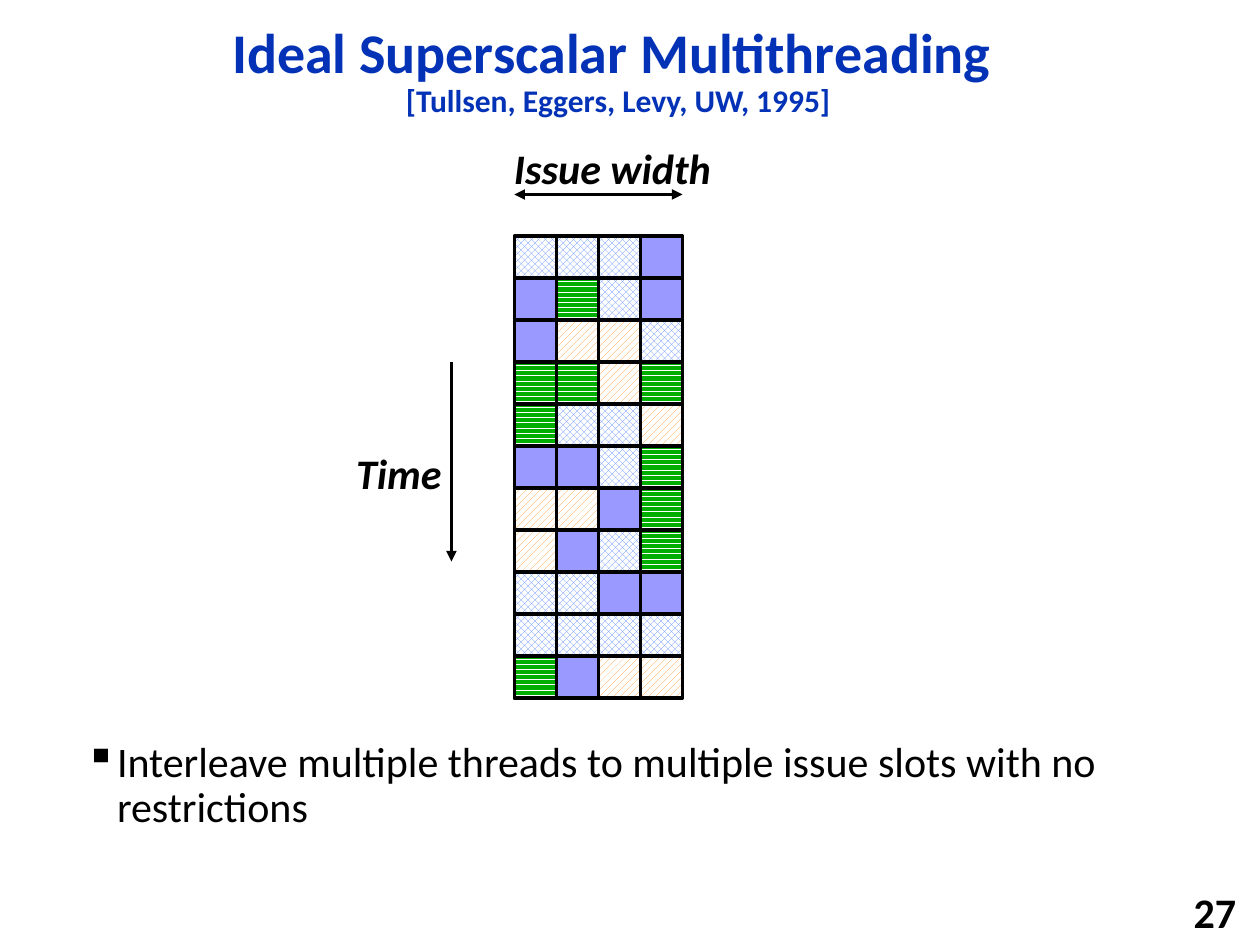
from lxml import etree
from pptx import Presentation
from pptx.dml.color import RGBColor
from pptx.enum.dml import MSO_PATTERN
from pptx.enum.shapes import MSO_CONNECTOR, MSO_SHAPE
from pptx.enum.text import MSO_ANCHOR, MSO_AUTO_SIZE, PP_ALIGN
from pptx.oxml.ns import qn
from pptx.util import Cm, Pt

DIAMOND = MSO_PATTERN.SOLID_DIAMOND
HORIZONTAL = MSO_PATTERN.DARK_HORIZONTAL
DIAGONAL = MSO_PATTERN.WIDE_UPWARD_DIAGONAL
RECTANGLE = MSO_SHAPE.RECTANGLE
STRAIGHT = MSO_CONNECTOR.STRAIGHT
CENTER, RIGHT = PP_ALIGN.CENTER, PP_ALIGN.RIGHT
MIDDLE = MSO_ANCHOR.MIDDLE
NO_AUTOFIT = MSO_AUTO_SIZE.NONE

rgb = RGBColor.from_string


def add_text(shapes, text, left, top, width, height, bold=False, italic=False):
    box = shapes.add_textbox(Cm(left), Cm(top), Cm(width), Cm(height))
    frame = box.text_frame
    frame.word_wrap = True
    frame.text = text
    font = frame.paragraphs[0].runs[0].font
    font.name, font.size = "Calibri", Pt(24)
    font.bold, font.italic = bold, italic
    font.color.rgb = rgb("000000")
    return frame


prs = Presentation()
prs.slide_width, prs.slide_height = Cm(25.4), Cm(19.05)
slide = prs.slides.add_slide(prs.slide_layouts[5])

# Title with its citation on a second line
title = slide.shapes.title
title.left, title.top, title.width, title.height = Cm(2.33), Cm(0.43), Cm(20.27), Cm(2.06)
title_frame = title.text_frame
title_frame.text = "Ideal Superscalar Multithreading \v[Tullsen, Eggers, Levy, UW, 1995]"
title_frame.auto_size = NO_AUTOFIT
title_frame.vertical_anchor = MIDDLE
heading = title_frame.paragraphs[0]
heading.alignment = CENTER
heading.line_spacing = 0.9
for run, size in zip(heading.runs, (32, 18)):
    run.font.name, run.font.size, run.font.bold = "Calibri", Pt(size), True
    run.font.color.rgb = rgb("0332B7")
line_break = heading._p.find(qn("a:br"))
etree.SubElement(line_break, qn("a:rPr"), sz="3200")

page_number = add_text(slide.shapes, "27", 19.89, 17.98, 5.28, 0.81, bold=True)
page_number.vertical_anchor = MIDDLE
page_number.paragraphs[0].alignment = RIGHT

summary = add_text(
    slide.shapes,
    "Interleave multiple threads to multiple issue slots with no restrictions",
    1.47, 14.81, 21.79, 2.34,
).paragraphs[0]
summary.line_spacing = 0.9
summary_props = summary._p.get_or_add_pPr()
summary_props.set("marL", str(Cm(0.64)))
summary_props.set("indent", str(-Cm(0.64)))
etree.SubElement(summary_props, qn("a:buChar"), char="▪")

# Issue slots: one row per cycle, one letter per thread
THREADS = {
    "A": (DIAMOND, "618FFD"),
    "B": (None, "9999FF"),
    "C": (HORIZONTAL, "00AE00"),
    "D": (DIAGONAL, "FF9933"),
}
CYCLES = ["AAAB", "BCAB", "BDDA", "CCDC", "CAAD", "BBAC",
          "DDBC", "DBAC", "AABB", "AAAA", "CBDD"]
GRID_LEFT, GRID_TOP, SLOT = 10.37, 4.76, 0.847

diagram = slide.shapes.add_group_shape().shapes
for row, cycle in enumerate(CYCLES):
    for column, thread in enumerate(cycle):
        slot = diagram.add_shape(
            RECTANGLE, Cm(GRID_LEFT + column * SLOT), Cm(GRID_TOP + row * SLOT),
            Cm(SLOT), Cm(SLOT))
        slot.shadow.inherit = False
        pattern, color = THREADS[thread]
        if pattern is None:
            slot.fill.solid()
            slot.fill.fore_color.rgb = rgb(color)
        else:
            slot.fill.patterned()
            slot.fill.pattern = pattern
            slot.fill.fore_color.rgb = rgb(color)
            slot.fill.back_color.rgb = rgb("FFFFFF")
        slot.line.color.rgb = rgb("000000")
        slot.line.width = Pt(2)

# Axes: label, label box, arrow ends, arrowheads
AXES = [
    ("Issue width", (10.11, 2.74, 4.72, 1.3),
     (GRID_LEFT, 3.92, GRID_LEFT + 4 * SLOT, 3.92), ("headEnd", "tailEnd")),
    ("Time", (6.93, 8.89, 2.46, 1.3), (9.1, 7.3, 9.1, 11.32), ("tailEnd",)),
]
for label, label_box, ends, arrowheads in AXES:
    arrow = diagram.add_connector(STRAIGHT, *[Cm(value) for value in ends])
    arrow.line.color.rgb = rgb("000000")
    arrow.line.width = Pt(2)
    for arrowhead in arrowheads:
        etree.SubElement(arrow.line._get_or_add_ln(), qn(f"a:{arrowhead}"), type="triangle")
    etree.SubElement(arrow._element.spPr, qn("a:effectLst"))
    add_text(diagram, label, *label_box, bold=True, italic=True)

prs.save("out.pptx")
